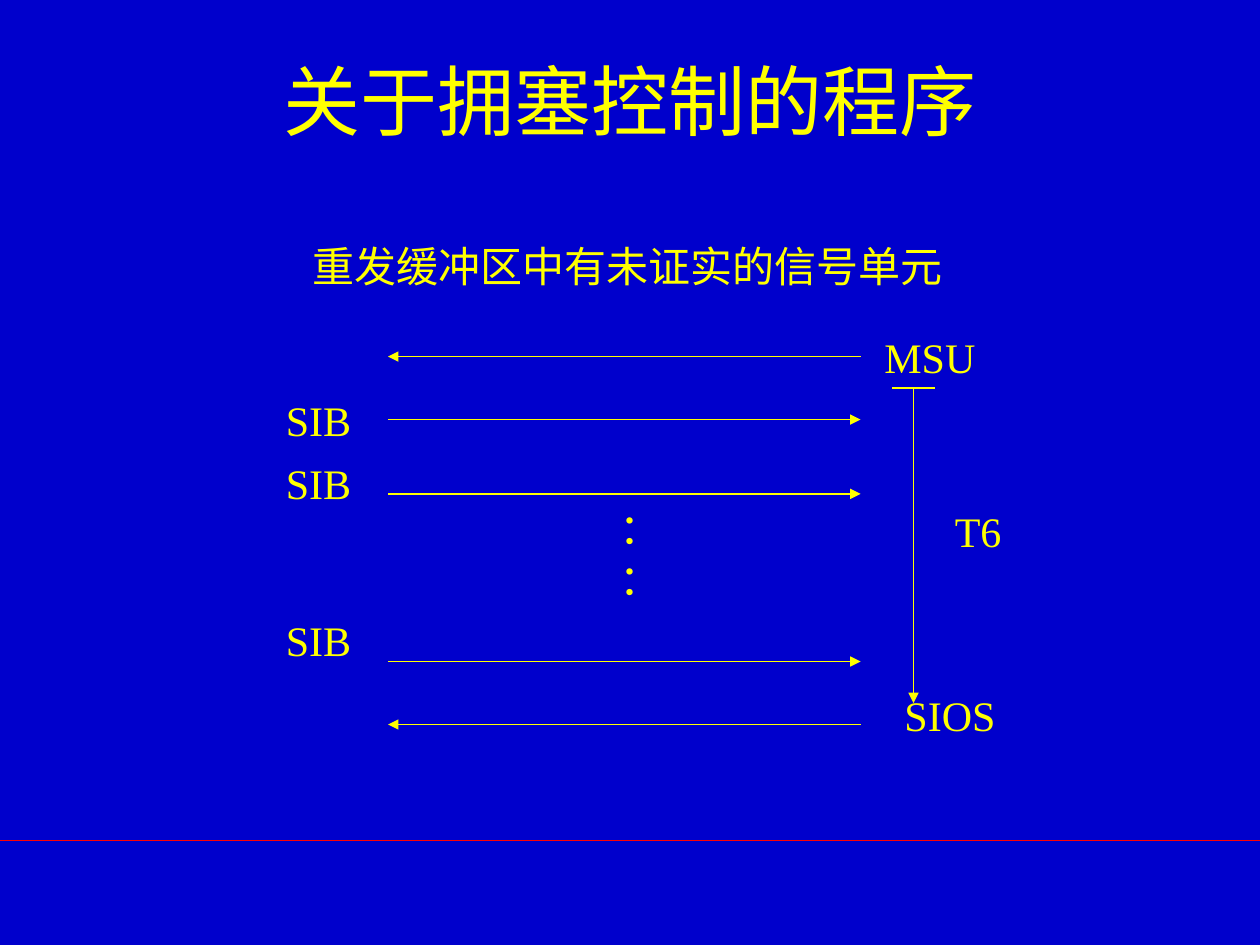
"""Build the slide on the congestion control procedure between two signalling points."""
from lxml.etree import SubElement
from pptx import Presentation
from pptx.dml.color import RGBColor
from pptx.enum.shapes import MSO_CONNECTOR
from pptx.enum.text import MSO_ANCHOR, MSO_AUTO_SIZE, PP_ALIGN
from pptx.oxml.ns import qn
from pptx.util import Inches, Pt

COLORS = {"background": "0000CC", "ink": "FFFF00", "rule": "FF0000"}
TITLE = "关于拥塞控制的程序"
LEFT, RIGHT = 3.08, 6.83
TIMER_X, TIMER_TOP, TIMER_END, TICK = 7.25, 3.08, 5.58, 0.17
RULE_Y = 6.67
LINE_HEIGHT, PADDING = 0.4, 0.1

LABELS = [
    ("重发缓冲区中有未证实的信号单元", 2.38, 1.86, 5.2),
    ("SIB", 2.17, 3.08, 0.72),
    ("SIB", 2.17, 3.58, 0.72),
    ("SIB", 2.17, 4.83, 0.72),
    ("MSU", 6.92, 2.58, 0.92),
    ("：\n：", 4.82, 3.94, 0.53),
    ("SIOS", 7.08, 5.42, 0.92),
    ("T6", 7.48, 3.96, 0.6),
]
MESSAGES = [
    (2.83, "left"),
    (3.33, "right"),
    (3.92, "right"),
    (5.25, "right"),
    (5.75, "left"),
]


def style_text(frame, font_name, size):
    for paragraph in frame.paragraphs:
        paragraph.font.name = font_name
        paragraph.font.size = Pt(size)
        paragraph.font.color.rgb = RGBColor.from_string(COLORS["ink"])


def add_line(slide, start, end, color="ink", width=0.75, arrow=True):
    line = slide.shapes.add_connector(
        MSO_CONNECTOR.STRAIGHT, *(Inches(v) for v in (*start, *end)))
    line.line.color.rgb = RGBColor.from_string(COLORS[color])
    line.line.width = Pt(width)
    if arrow:
        SubElement(line.line._get_or_add_ln(), qn("a:tailEnd"), type="triangle")
    SubElement(line._element.spPr, qn("a:effectLst"))


def add_label(slide, text, left, top, width):
    height = LINE_HEIGHT * len(text.split("\n")) + PADDING
    label = slide.shapes.add_textbox(*(Inches(v) for v in (left, top, width, height)))
    frame = label.text_frame
    frame.text = text
    frame.word_wrap = False
    frame.auto_size = MSO_AUTO_SIZE.SHAPE_TO_FIT_TEXT
    style_text(frame, "Times New Roman", 24)


def add_title(slide):
    title = slide.shapes.title
    title.left, title.top, title.width, title.height = (
        Inches(v) for v in (0.75, 0.17, 8.5, 1.25))
    frame = title.text_frame
    frame.text = TITLE
    frame.vertical_anchor = MSO_ANCHOR.MIDDLE
    frame.paragraphs[0].alignment = PP_ALIGN.CENTER
    style_text(frame, "Arial", 44)


def main():
    deck = Presentation()
    deck.slide_width, deck.slide_height = Inches(10), Inches(7.5)
    slide = deck.slides.add_slide(deck.slide_layouts[5])
    slide.background.fill.solid()
    slide.background.fill.fore_color.rgb = RGBColor.from_string(COLORS["background"])

    add_line(slide, (0, RULE_Y), (10, RULE_Y), "rule", 1, arrow=False)
    add_title(slide)
    for y, direction in MESSAGES:
        start, end = (LEFT, RIGHT) if direction == "right" else (RIGHT, LEFT)
        add_line(slide, (start, y), (end, y))
    for label in LABELS:
        add_label(slide, *label)
    add_line(slide, (TIMER_X, TIMER_TOP), (TIMER_X, TIMER_END))
    add_line(slide, (TIMER_X - TICK, TIMER_TOP), (TIMER_X + TICK, TIMER_TOP), arrow=False)
    deck.save("out.pptx")


if __name__ == "__main__":
    main()
